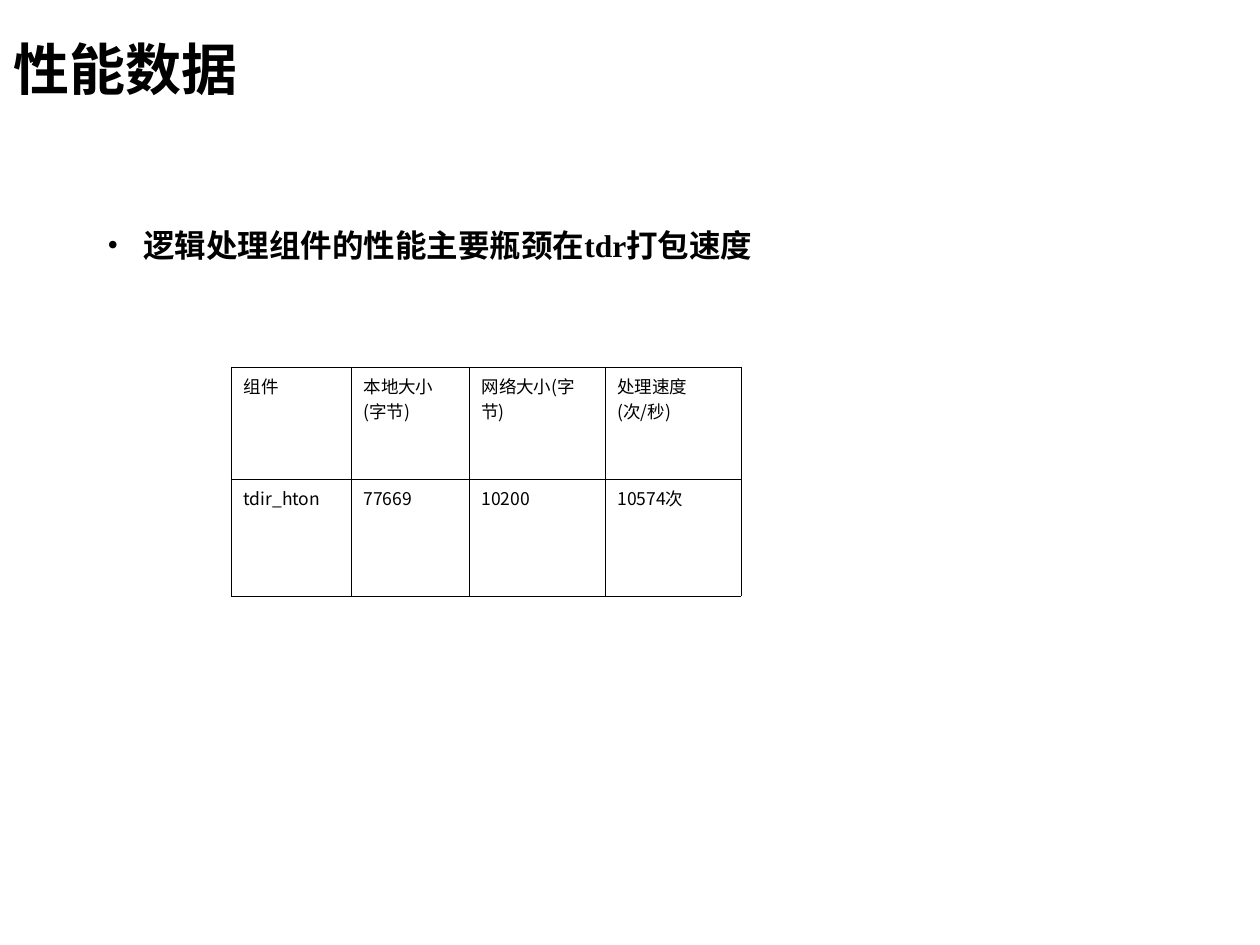
from pptx import Presentation
from pptx.dml.color import RGBColor
from pptx.enum.text import MSO_ANCHOR
from pptx.oxml import parse_xml
from pptx.oxml.ns import nsdecls
from pptx.util import Emu, Pt

PX = 914400 // 126
TOP, MIDDLE = MSO_ANCHOR.TOP, MSO_ANCHOR.MIDDLE
SERIF, SANS = "Times New Roman", "Noto Sans CJK SC"
BLACK = "000000"
BORDER_WIDTH = Pt(0.25)


def px(length):
    """Turn whole pixels into EMU."""
    return Emu(length * PX)


def color(value):
    """Turn a hex string into a colour."""
    return RGBColor.from_string(value)


def element(tag, content="", **attributes):
    """Build one drawing element."""
    listed = "".join(f' {name}="{value}"' for name, value in attributes.items())
    return parse_xml(f'<a:{tag} {nsdecls("a")}{listed}>{content}</a:{tag}>')


def write(frame, text, size, font=SANS, bold=False, bullet_indent=0):
    """Write one formatted paragraph into a text frame."""
    para = frame.paragraphs[0]
    if bullet_indent:
        properties = para._p.get_or_add_pPr()
        properties.set("marL", str(px(bullet_indent)))
        properties.set("indent", str(-px(bullet_indent)))
        properties.append(element("buClr", f'<a:srgbClr val="{BLACK}"/>'))
        properties.append(element("buFont", typeface=font))
        properties.append(element("buChar", char="•"))
    span = para.add_run()
    span.text = text
    span.font.size = Pt(size)
    span.font.bold = bold
    span.font.color.rgb = color(BLACK)
    span.font.name = font
    span.font._element.append(element("ea", typeface=SANS))


class Page:
    """Hold the style and the current slide."""

    def __init__(self, deck):
        """Add a blank slide to the deck."""
        self.slide = deck.slides.add_slide(deck.slide_layouts[6])

    def text(self, text, left, top, width, height, anchor=TOP, **style):
        """Add a wrapped text box."""
        box = self.slide.shapes.add_textbox(px(left), px(top), px(width), px(height))
        frame = box.text_frame
        frame.word_wrap = True
        frame.vertical_anchor = anchor
        write(frame, text, **style)

    def table(self, rows, left, top, widths, heights, **style):
        """Add an unfilled table with thin borders."""
        shape = self.slide.shapes.add_table(
            len(heights), len(widths), px(left), px(top), px(sum(widths)), px(sum(heights)))
        grid = shape.table
        grid.first_row = grid.horz_banding = False
        for column, width in zip(grid.columns, widths):
            column.width = px(width)
        for row, height, texts in zip(grid.rows, heights, rows):
            row.height = px(height)
            for cell, text in zip(row.cells, texts):
                self.border(cell)
                cell.fill.background()
                write(cell.text_frame, text, **style)

    def border(self, cell):
        """Draw all four sides of a cell."""
        properties = cell._tc.get_or_add_tcPr()
        fill = f'<a:solidFill><a:srgbClr val="{BLACK}"/></a:solidFill>'
        for side in "LRTB":
            properties.append(element(f"ln{side}", fill, w=BORDER_WIDTH))


def main():
    """Build the performance slide."""
    deck = Presentation()
    deck.slide_width, deck.slide_height = px(1260), px(945)
    page = Page(deck)
    page.text("逻辑处理组件的性能主要瓶颈在tdr打包速度", 95, 220, 1082, 483,
              size=18, font=SERIF, bold=True, bullet_indent=36)
    page.table(
        [["组件", "本地大小(字节)", "网络大小(字节)", "处理速度(次/秒)"],
         ["tdir_hton", "77669", "10200", "10574次"]],
        231, 367, widths=[120, 118, 136, 136], heights=[112, 117], size=10)
    page.text("性能数据", 1, 10, 828, 116, anchor=MIDDLE, size=32, font=SERIF, bold=True)
    deck.save("out.pptx")


if __name__ == "__main__":
    main()
